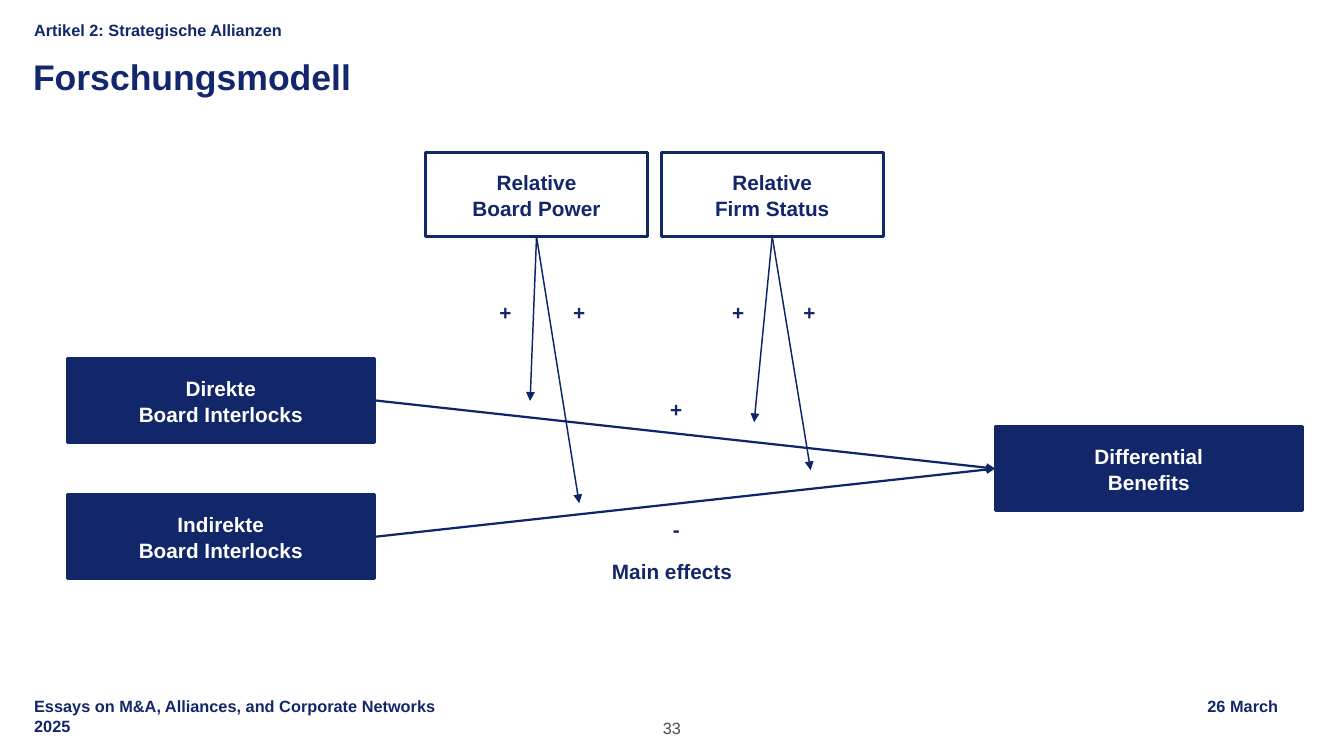
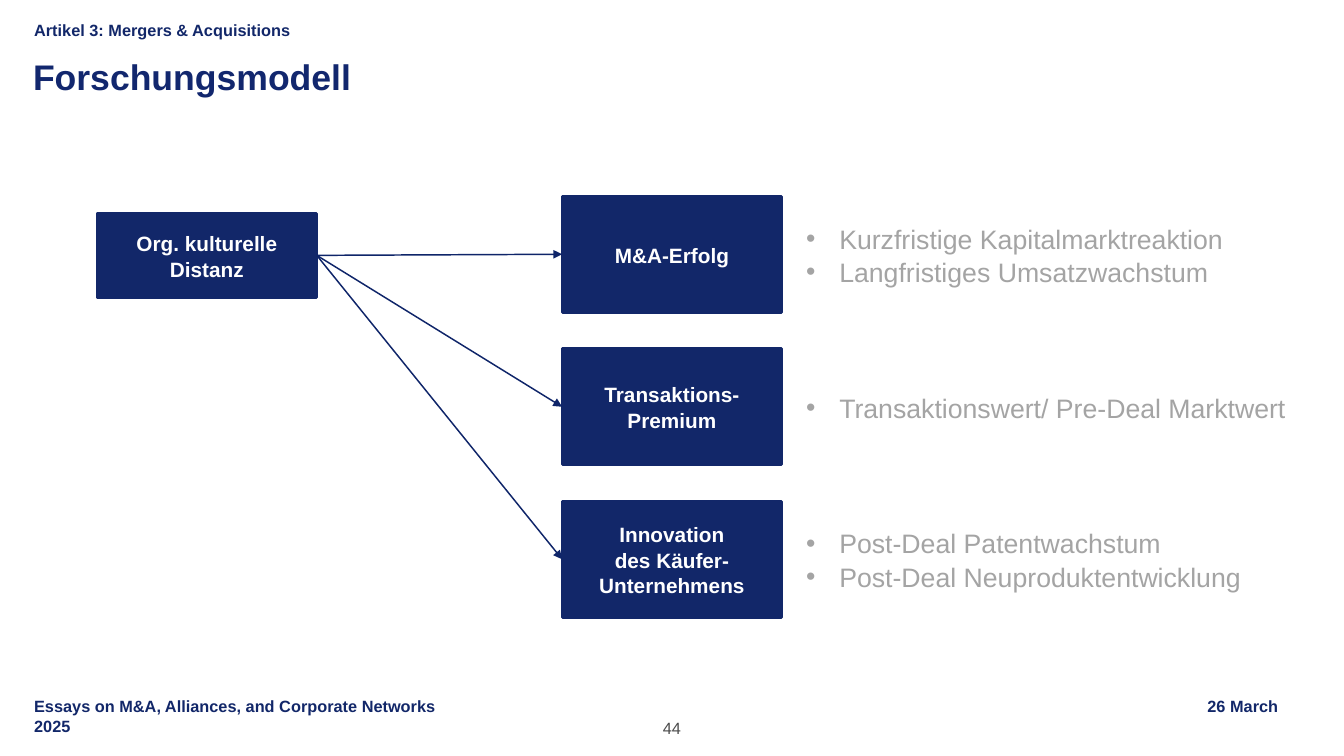
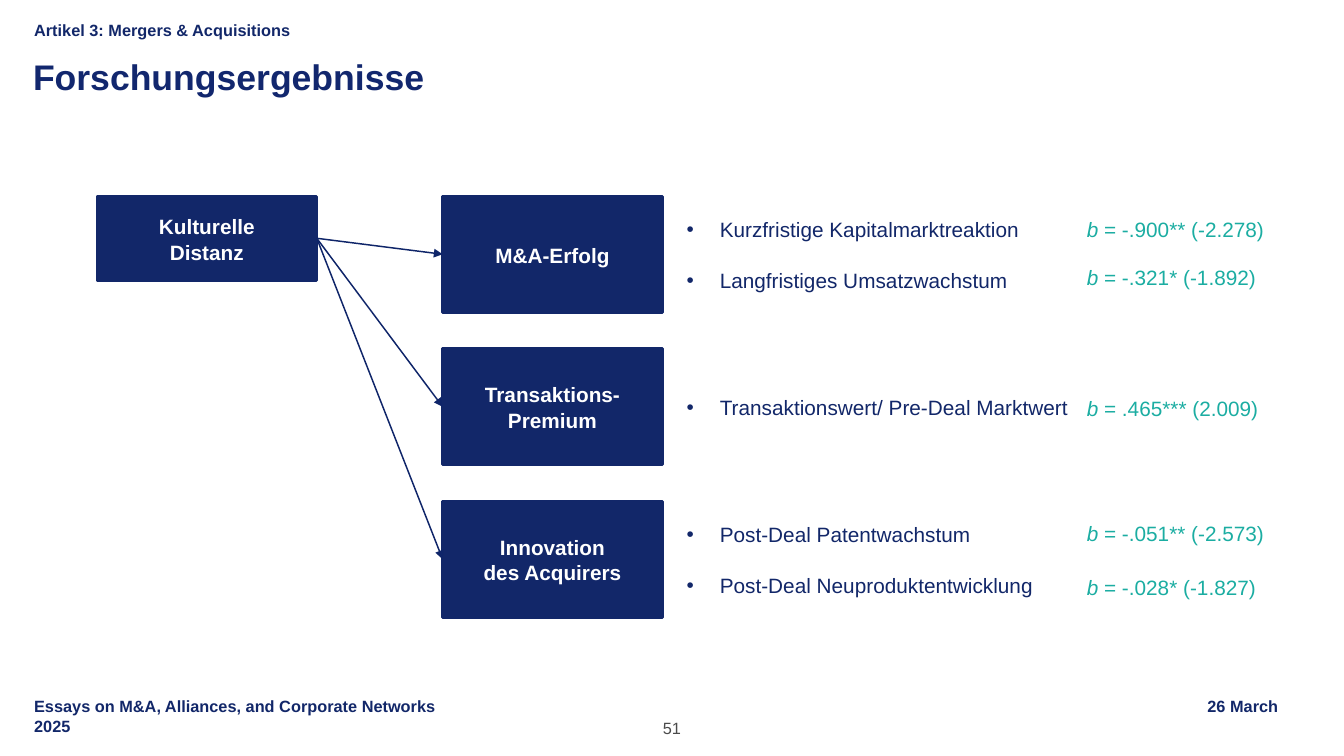
from copy import deepcopy
from lxml.etree import SubElement
from pptx import Presentation
from pptx.dml.color import RGBColor
from pptx.enum.shapes import MSO_CONNECTOR, MSO_SHAPE
from pptx.enum.text import MSO_ANCHOR, PP_ALIGN
from pptx.oxml.ns import qn
from pptx.util import Inches, Pt

HUES = {"navy": "122769", "title": "12276E", "line": "0F2569", "white": "FFFFFF",
        "grey": "A4A4A4", "page": "4B4B4B", "teal": "1BADA2"}
ANCHOR = {"t": MSO_ANCHOR.TOP, "m": MSO_ANCHOR.MIDDLE, "b": MSO_ANCHOR.BOTTOM}
ALIGN = {"l": PP_ALIGN.LEFT, "c": PP_ALIGN.CENTER}

deck = Presentation()
deck.slide_width, deck.slide_height = Inches(12.6), Inches(7.09)
CELL = deck.slide_width / 126  # square grid, 126 columns wide


def text(page, words, x, y, w, h, size=14, hue="navy", bold=False, align="l", anchor="m",
         fill=None, edge=None, flush=False, lead=None, dots=False, gap=0, space=1.04, tab=None):
    """Place text at grid columns and rows; a list gives one paragraph per item."""
    place = [round(n * CELL) for n in (x, y, w, h)]
    if fill:
        box = page.shapes.add_shape(MSO_SHAPE.RECTANGLE, *place)
        box.shadow.inherit = False
        box.fill.solid()
        box.fill.fore_color.rgb = RGBColor.from_string(HUES[fill])
        if edge:
            box.line.color.rgb = RGBColor.from_string(HUES[edge])
            box.line.width = Pt(2)
        else:
            box.line.fill.background()
    else:
        box = page.shapes.add_textbox(*place)
    frame = box.text_frame
    frame.word_wrap = True
    frame.vertical_anchor = ANCHOR[anchor]
    if flush:
        frame.margin_left = frame.margin_right = frame.margin_top = frame.margin_bottom = 0
    for i, line in enumerate(words if isinstance(words, list) else [words]):
        para = frame.add_paragraph() if i else frame.paragraphs[0]
        if lead:
            para.text = lead
            para.runs[0].font.italic = True
            para.add_run().text = line
        else:
            para.text = line
        props = para._p.get_or_add_pPr()
        if dots:
            props.set("marL", str(Inches(0.31)))
            props.set("indent", str(-Inches(0.31)))
            SubElement(props, qn("a:buFont"), typeface="Arial")
            SubElement(props, qn("a:buChar"), char="•")
        if tab:
            stops = SubElement(props, qn("a:tabLst"))
            SubElement(stops, qn("a:tab"), pos=str(round(tab * CELL)), algn="l")
        para.alignment = ALIGN[align]
        para.line_spacing = space
        if i and gap:
            para.space_before = Pt(gap)
        for run in para.runs:
            run.font.name, run.font.size, run.font.bold = "Arial", Pt(size), bold
            run.font.color.rgb = RGBColor.from_string(HUES[hue])
        for brk in para._p.findall(qn("a:br")):
            brk.append(deepcopy(para.runs[0].font._element))
    return box


def arrow(page, box, side, goal, pt=1):
    """Lead from a side of a box to the left of another box or to a grid point."""
    point = goal if isinstance(goal, tuple) else (0, 0)
    x, y = [round(n * CELL) for n in point]
    line = page.shapes.add_connector(MSO_CONNECTOR.STRAIGHT, 0, 0, x, y)
    line.begin_connect(box, side)
    if not isinstance(goal, tuple):
        line.end_connect(goal, 1)
    line.line.color.rgb = RGBColor.from_string(HUES["line"])
    line.line.width = Pt(pt)
    SubElement(line.line._get_or_add_ln(), qn("a:tailEnd"), type="triangle")
    SubElement(line._element.spPr, qn("a:effectLst"))


# Box styles
DARK = dict(fill="navy", edge="navy", hue="white", bold=True, align="c")
PALE = dict(fill="white", edge="navy", bold=True, align="c")
SIGN = dict(bold=True, align="c")

# Header and footer of every slide
pages = []
for part, title, num in [
    ("Artikel 2: Strategische Allianzen", "Forschungsmodell", 33),
    ("Artikel 3: Mergers & Acquisitions", "Forschungsmodell", 44),
    ("Artikel 3: Mergers & Acquisitions", "Forschungsergebnisse", 51),
]:
    page = deck.slides.add_slide(deck.slide_layouts[6])
    text(page, str(num), 58.5, 67.3, 9, 1.9, size=11, hue="page", align="c",
         anchor="b", flush=True, space=1)
    text(page, "Essays on M&A, Alliances, and Corporate Networks\t26 March 2025",
         3.2, 65.3, 119.7, 3.7, size=11, bold=True, anchor="b", flush=True, tab=110)
    text(page, part, 3.2, 0, 119.7, 3.7, size=11, bold=True, anchor="b", flush=True)
    text(page, title, 3.1, 5.6, 119.7, 7.3, size=24, hue="title", bold=True,
         anchor="t", flush=True, space=0.9)
    pages.append(page)
first, model, result = pages

# Slide 1: main effects
goal = text(first, "Differential\nBenefits", 93.3, 40, 28.8, 7.9, **DARK)
text(first, "Main effects", 51.4, 51.8, 23.2, 3.4, fill="white", **SIGN)
for name, y, sign, row in [("Direkte", 33.6, "+", 37), ("Indirekte", 46.4, "-", 48.3)]:
    cause = text(first, name + "\nBoard Interlocks", 6.3, y, 28.8, 7.9, **DARK)
    arrow(first, cause, 3, goal, pt=1.5)
    text(first, sign, 61.1, row, 4.6, 2.6, **SIGN)

# Slide 1: moderators, each with two arrow tips and two signs
for name, x, tips, signs in [
    ("Relative\nBoard Power", 39.9, [(49.7, 37.6), (54.3, 47.2)], [45.1, 52]),
    ("Relative\nFirm Status", 62, [(70.7, 39.6), (76, 44.1)], [66.9, 73.6]),
]:
    box = text(first, name, x, 14.3, 20.8, 7.9, **PALE)
    for tip, col in zip(tips, signs):
        arrow(first, box, 2, tip)
        text(first, "+", col, 27.9, 4.6, 2.6, **SIGN)

# Slides 2 and 3: one cause, three outcomes with their measures
TOP, STEP, TALL, WIDE = 18.4, 14.3, 10.9, 20.6
facts = [["Kurzfristige Kapitalmarktreaktion", "Langfristiges Umsatzwachstum"],
         ["Transaktionswert/ Pre-Deal Marktwert"],
         ["Post-Deal Patentwachstum", "Post-Deal Neuproduktentwicklung"]]
for page, name, y, x, last, span, look in [
    (model, "Org. kulturelle\nDistanz", 20, 52.7, "Innovation\ndes Käufer-Unternehmens",
     47.1, dict(size=18, hue="grey")),
    (result, "Kulturelle\nDistanz", TOP, 41.5, "Innovation\ndes Acquirers",
     38, dict(gap=17)),
]:
    cause = text(page, name, 9.1, y, WIDE, 7.9, **DARK)
    for i, label in enumerate(["M&A-Erfolg", "Transaktions-\nPremium", last]):
        row = TOP + i * STEP
        box = text(page, label, x, row, WIDE, TALL, **DARK)
        arrow(page, cause, 3, box)
        text(page, facts[i], x + WIDE + 1.3, row, span, TALL, fill="white", dots=True, **look)

# Slide 3: coefficients
for value, y in [("-.900** (-2.278)", 20.2), ("-.321* (-1.892)", 24.7), (".465*** (2.009)", 36.9),
                 ("-.051** (-2.573)", 48.7), ("-.028* (-1.827)", 53.7)]:
    text(result, " = " + value, 100.9, y, 21.5, 2.6, hue="teal", lead="b")

deck.save("out.pptx")
